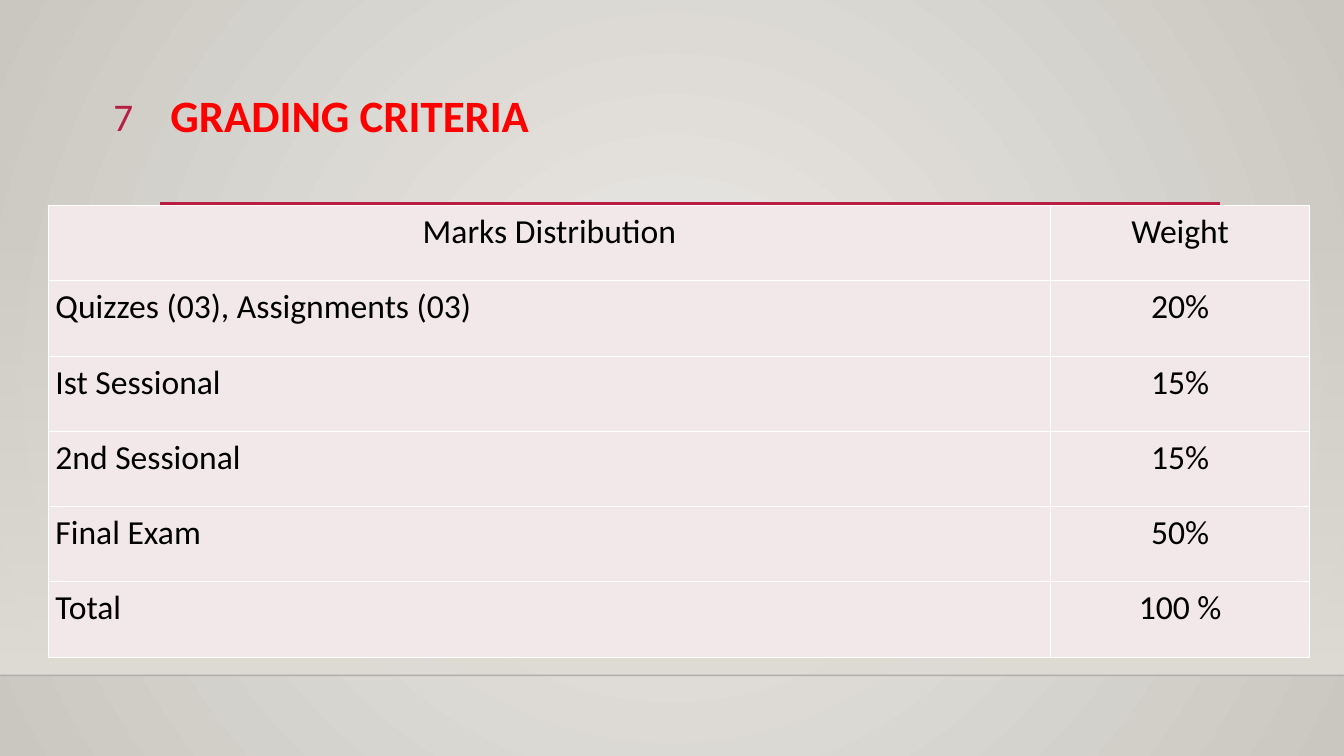
from dataclasses import dataclass

from lxml.etree import SubElement
from pptx import Presentation
from pptx.dml.color import RGBColor
from pptx.enum.shapes import MSO_CONNECTOR, MSO_SHAPE
from pptx.enum.text import MSO_ANCHOR, PP_ALIGN
from pptx.oxml import parse_xml
from pptx.oxml.ns import nsdecls, qn
from pptx.util import Inches, Pt


@dataclass(frozen=True)
class Theme:
    font: str = "Calibri"
    heading: str = "FF0000"
    accent: str = "B71E42"
    ink: str = "000000"
    cell: str = "F3E8E9"
    border: str = "FFFFFF"
    glow: str = "ECEAE7"
    edge: str = "CAC7C1"
    floor: str = "DFDBD5"
    floor_line: str = "000001"
    title_size: int = 32
    number_size: int = 28
    table_size: int = 24


theme = Theme()


def write(frame, text, size, color, bold=False, **paragraph_format):
    """Fill a text frame with one formatted paragraph."""
    para = frame.paragraphs[0]
    for name, value in paragraph_format.items():
        setattr(para, name, value)
    span = para.add_run()
    span.text = text
    for name, value in {"name": theme.font, "size": Pt(size), "bold": bold}.items():
        setattr(span.font, name, value)
    span.font.color.rgb = RGBColor.from_string(color)


def rule(start, end, y, color, weight):
    """Draw a horizontal line without shadow and return its colour element."""
    line = page.shapes.add_connector(MSO_CONNECTOR.STRAIGHT, start, y, end, y)
    line.line.color.rgb = RGBColor.from_string(color)
    line.line.width = Pt(weight)
    properties = line._element.spPr
    SubElement(properties, qn("a:effectLst"))
    return properties.find(".//" + qn("a:srgbClr"))


deck = Presentation()
deck.slide_width, deck.slide_height = Inches(13.33), Inches(7.5)
page = deck.slides.add_slide(deck.slide_layouts[5])

# Background: light in the middle, darker towards the edges
backdrop = page.background.fill
backdrop.gradient()
for stop, color in zip(backdrop.gradient_stops, (theme.glow, theme.edge)):
    stop.color.rgb = RGBColor.from_string(color)
direction = page._element.find(".//" + qn("a:lin"))
direction.getparent().replace(direction, parse_xml(
    f'<a:path {nsdecls("a")} path="circle">'
    '<a:fillToRect l="50000" t="50000" r="50000" b="50000"/></a:path>'))

# Floor: a band that fades in downwards and ends in a faint line
floor_top, floor_bottom = Inches(2.21), Inches(6.7)
floor = page.shapes.add_shape(
    MSO_SHAPE.RECTANGLE, 0, floor_top, deck.slide_width, floor_bottom - floor_top)
floor.shadow.inherit = False
floor.line.fill.background()
floor.fill.gradient()
floor.fill.gradient_angle = 270
for stop in floor.fill.gradient_stops:
    stop.color.rgb = RGBColor.from_string(theme.floor)
first_color = floor._element.spPr.find(".//" + qn("a:srgbClr"))
SubElement(first_color, qn("a:alpha"), val="0")
faint = rule(0, deck.slide_width, floor_bottom, theme.floor_line, 1)
SubElement(faint, qn("a:alpha"), val="20000")

# Heading
rule(Inches(1.59), Inches(12.1), Inches(2.02), theme.accent, 2.5)
title = page.shapes.title
title_place = {"left": 1.59, "top": 0.88, "width": 10.5, "height": 1.15}
for name, value in title_place.items():
    setattr(title, name, Inches(value))
title.text_frame.vertical_anchor = MSO_ANCHOR.TOP
write(title.text_frame, "GRADING CRITERIA", theme.title_size, theme.heading,
      bold=True, alignment=PP_ALIGN.LEFT, line_spacing=0.9)

number = page.shapes.add_textbox(Inches(0.53), Inches(0.87), Inches(0.89), Inches(0.55))
number.text_frame.word_wrap = True
write(number.text_frame, "7", theme.number_size, theme.accent, alignment=PP_ALIGN.RIGHT)

# Grading table
grades = [
    ("Marks Distribution", "Weight"),
    ("Quizzes (03), Assignments (03)", "20%"),
    ("Ist Sessional", "15%"),
    ("2nd Sessional", "15%"),
    ("Final Exam", "50%"),
    ("Total", "100 %"),
]
column_widths = (9.94, 2.57)
table = page.shapes.add_table(
    len(grades), len(column_widths), Inches(0.48), Inches(2.04),
    Inches(sum(column_widths)), Inches(4.48)).table
for column, width in zip(table.columns, column_widths):
    column.width = Inches(width)

cell_format = {
    "margin_left": Inches(0.07), "margin_right": Inches(0.07),
    "margin_top": 0, "margin_bottom": 0, "vertical_anchor": MSO_ANCHOR.TOP,
}
for row, texts in enumerate(grades):
    for column, text in enumerate(texts):
        cell = table.cell(row, column)
        for name, value in cell_format.items():
            setattr(cell, name, value)
        centred = row == 0 or column == 1
        write(cell.text_frame, text, theme.table_size, theme.ink,
              alignment=PP_ALIGN.CENTER if centred else PP_ALIGN.LEFT,
              line_spacing=1.15, space_after=Pt(10))
        properties = cell._tc.get_or_add_tcPr()
        for side in ("lnL", "lnR", "lnT", "lnB"):
            border = SubElement(properties, qn(f"a:{side}"), w=str(Pt(1)))
            paint = SubElement(border, qn("a:solidFill"))
            SubElement(paint, qn("a:srgbClr"), val=theme.border)
        cell.fill.solid()
        cell.fill.fore_color.rgb = RGBColor.from_string(theme.cell)

deck.save("out.pptx")
